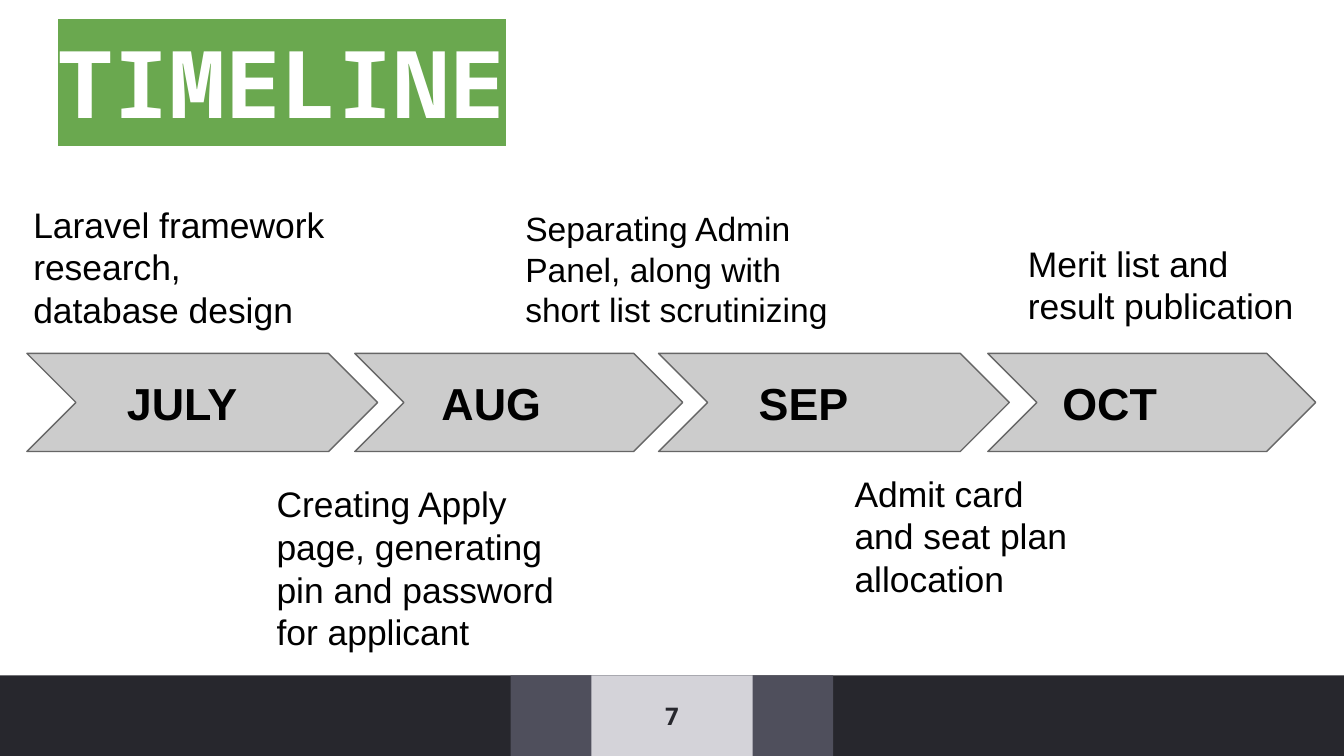
from lxml.etree import SubElement
from pptx import Presentation
from pptx.dml.color import RGBColor
from pptx.enum.shapes import MSO_SHAPE
from pptx.enum.text import MSO_ANCHOR, PP_ALIGN
from pptx.oxml.ns import qn
from pptx.util import Inches, Pt

WHITE = RGBColor(0xFF, 0xFF, 0xFF)
BLACK = RGBColor(0, 0, 0)
DARK = RGBColor(0x27, 0x27, 0x2D)
SLATE = RGBColor(0x4F, 0x4F, 0x5C)
PALE = RGBColor(0xD4, 0xD3, 0xD9)
GREEN = RGBColor(0x6A, 0xA8, 0x4F)
GREY = RGBColor(0xCC, 0xCC, 0xCC)
OUTLINE = RGBColor(0x66, 0x66, 0x66)

SANS = "Arial"
MONO = "Noto Sans Mono"
INSET = 0.1
PAGE_WIDTH = 10
PAGE_HEIGHT = PAGE_WIDTH * 9 / 16
FOOTER_HEIGHT = 0.6
FOOTER_TOP = PAGE_HEIGHT - FOOTER_HEIGHT

FOOTER_BANDS = [(0, PAGE_WIDTH, DARK), (3.8, 2.4, SLATE), (4.4, 1.2, PALE)]
MONTHS = [
    ("JULY", 0.2, 2.61, 0.28),
    ("AUG", 2.64, 2.44, 0.18),
    ("SEP", 4.9, 2.61, 0.28),
    ("OCT", 7.35, 2.44, 0.09),
]
TASKS = [
    (["Laravel framework research, database design"], (0.15, 1.41, 2.44, 0.73), 19),
    (["Creating Apply page, generating pin and password for applicant"],
     (1.96, 3.49, 2.44, 1.02), 19),
    (["Admit card", "and seat plan allocation"], (6.26, 3.41, 2.61, 0.73), 19),
    (["Separating Admin", "Panel, along with short list scrutinizing"],
     (3.81, 1.45, 2.61, 1.02), 18),
    (["Merit list and result publication"], (7.55, 1.7, 2.27, 0.83), 19),
]


def write_text(box, lines, size, color, name=SANS, bold=False,
               anchor=MSO_ANCHOR.TOP, align=PP_ALIGN.LEFT):
    frame = box.text_frame
    frame.word_wrap = True
    frame.vertical_anchor = anchor
    frame.margin_left = frame.margin_right = Inches(INSET)
    frame.margin_top = frame.margin_bottom = Inches(INSET)
    frame.text = "\n".join(lines)
    for paragraph in frame.paragraphs:
        paragraph.alignment = align
        paragraph.font.name = name
        paragraph.font.size = Pt(size)
        paragraph.font.bold = bold
        paragraph.font.color.rgb = color
    return frame


def add_text(page, place, lines, size, color, **style):
    box = page.shapes.add_textbox(*map(Inches, place))
    return write_text(box, lines, size, color, **style)


def add_filled_shape(page, kind, place, fill, outline=None):
    shape = page.shapes.add_shape(kind, *map(Inches, place))
    shape.shadow.inherit = False
    shape.fill.solid()
    shape.fill.fore_color.rgb = fill
    if outline is None:
        shape.line.fill.background()
    else:
        shape.line.color.rgb = outline
        shape.line.width = Pt(0.75)
    return shape


def highlight(span, color):
    properties = span.font._element
    mark = SubElement(properties, qn("a:highlight"))
    SubElement(mark, qn("a:srgbClr"), val=str(color))


def add_title(page):
    frame = add_text(page, (0.33, 0.52, 8.2, 0.6), ["TIMELINE"], 50, WHITE,
                     name=MONO, bold=True, anchor=MSO_ANCHOR.BOTTOM)
    highlight(frame.paragraphs[0].runs[0], GREEN)


def add_footer(page):
    for left, width, color in FOOTER_BANDS:
        add_filled_shape(page, MSO_SHAPE.RECTANGLE,
                         (left, FOOTER_TOP, width, FOOTER_HEIGHT), color)
    add_text(page, (4.4, FOOTER_TOP, 1.2, FOOTER_HEIGHT), ["7"], 13, DARK,
             name=MONO, bold=True, anchor=MSO_ANCHOR.MIDDLE, align=PP_ALIGN.CENTER)


def add_month(page, label, left, width, indent):
    chevron = add_filled_shape(page, MSO_SHAPE.CHEVRON, (left, 2.63, width, 0.73),
                               GREY, OUTLINE)
    frame = write_text(chevron, [label], 24, BLACK, bold=True,
                       anchor=MSO_ANCHOR.MIDDLE)
    frame.margin_left = Inches(INSET + indent)


def main():
    deck = Presentation()
    deck.slide_width, deck.slide_height = Inches(PAGE_WIDTH), Inches(PAGE_HEIGHT)
    page = deck.slides.add_slide(deck.slide_layouts[6])
    add_footer(page)
    add_title(page)
    for month in MONTHS:
        add_month(page, *month)
    for lines, place, size in TASKS:
        add_text(page, place, lines, size, BLACK)
    deck.save("out.pptx")


if __name__ == "__main__":
    main()
